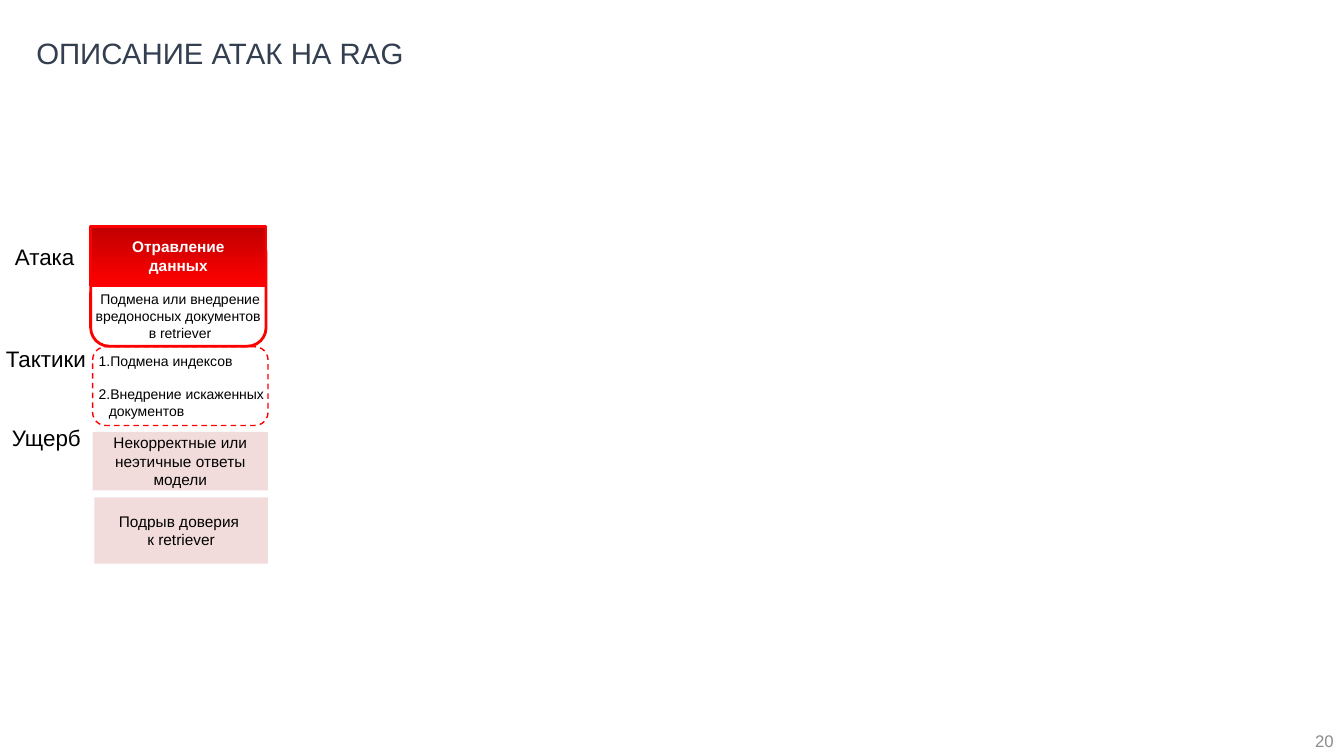
from dataclasses import dataclass

from lxml import etree
from pptx import Presentation
from pptx.dml.color import RGBColor as RGB
from pptx.enum.dml import MSO_LINE as Dash
from pptx.enum.shapes import MSO_SHAPE as Shape
from pptx.enum.text import MSO_ANCHOR as Anchor, MSO_AUTO_SIZE as AutoSize, PP_ALIGN as Align
from pptx.oxml.ns import qn
from pptx.util import Pt


@dataclass(frozen=True)
class Theme:
    font: str = "Arial"
    title: RGB = RGB(0x33, 0x3F, 0x50)
    text: RGB = RGB(0, 0, 0)
    white: RGB = RGB(255, 255, 255)
    number: RGB = RGB(0x8C, 0x8C, 0x8C)
    red: RGB = RGB(255, 0, 0)
    dark_red: RGB = RGB(0xC0, 0, 0)
    pink: RGB = RGB(0xF2, 0xDC, 0xDB)
    title_size: int = 21
    label_size: int = 16
    number_size: int = 12
    box_size: int = 11
    small_size: int = 10


T = Theme()


def move(sp, left, top, width, height):
    sp.left, sp.top, sp.width, sp.height = Pt(left), Pt(top), Pt(width), Pt(height)


def write(sp, lines, size, color=T.text, align=Align.LEFT, anchor=Anchor.TOP,
          bold=False, wrap=True):
    """Fill a shape with one paragraph per line and return the paragraphs."""
    tf = sp.text_frame
    tf.text = "\n".join(lines)
    tf.word_wrap = wrap
    tf.auto_size = AutoSize.NONE
    tf.vertical_anchor = anchor
    for p in tf.paragraphs:
        p.alignment = align
        p.space_before = Pt(0)
        p.font.name, p.font.size, p.font.bold = T.font, Pt(size), bold
        p.font.color.rgb = color
    return tf.paragraphs


def add_text(s, box, text, size, **style):
    sp = s.shapes.add_textbox(*map(Pt, box))
    write(sp, [text], size, **style)


def add_box(s, kind, box, fill=None, line=None, weight=2):
    sp = s.shapes.add_shape(kind, *map(Pt, box))
    sp.shadow.inherit = False
    if fill is None:
        sp.fill.background()
    else:
        sp.fill.solid()
        sp.fill.fore_color.rgb = fill
    if line is None:
        sp.line.fill.background()
    else:
        sp.line.color.rgb = line
        sp.line.width = Pt(weight)
    return sp


def title(s, text, box):
    move(s.shapes.title, *box)
    p, = write(s.shapes.title, [text], T.title_size, T.title, anchor=Anchor.MIDDLE)
    p.line_spacing = 0.9


def attack(s, name, description, left, top, width, height):
    head_height = 42.5
    add_box(s, Shape.ROUNDED_RECTANGLE, (left, top + 6, width, height - 6), line=T.red)
    head = add_box(s, Shape.RECTANGLE, (left, top, width, head_height), T.red, T.red)
    head.fill.gradient()
    head.fill.gradient_angle = 270
    for stop, color, position in zip(head.fill.gradient_stops, (T.dark_red, T.red), (0, 1)):
        stop.color.rgb = color
        stop.position = position
    write(head, [name], T.box_size, T.white, Align.CENTER, Anchor.MIDDLE, bold=True)
    add_text(s, (left - 6.2, top + head_height, width + 14.7, 44), description,
             T.small_size, align=Align.CENTER)


def tactics(s, items, left, top, width, height):
    body = s.placeholders[1]
    move(body, left - 2.9, top + 0.5, width + 11.5, height)
    paragraphs = write(body, items, T.small_size)
    for p in paragraphs:
        pPr = p._p.get_or_add_pPr()
        pPr.set("marL", str(Pt(7.2)))
        pPr.set("indent", str(-Pt(7.2)))
        number = etree.Element(qn("a:buAutoNum"), type="arabicPeriod")
        pPr.insert_element_before(number, "a:tabLst", "a:defRPr", "a:extLst")
    for p in paragraphs[1:]:
        p.space_before = Pt(11.5)
    frame = add_box(s, Shape.ROUNDED_RECTANGLE, (left, top, width, height),
                    line=T.red, weight=1)
    frame.line.dash_style = Dash.DASH


def damage(s, text, *box):
    sp = add_box(s, Shape.RECTANGLE, box, T.pink)
    write(sp, [text], T.box_size, align=Align.CENTER, anchor=Anchor.MIDDLE)


def row_labels(s, rows):
    for text, left, top, width in rows:
        add_text(s, (left, top, width, 26.6), text, T.label_size, wrap=False)


def attack_slide(prs):
    s = prs.slides.add_slide(prs.slide_layouts[1])
    title(s, "ОПИСАНИЕ АТАК НА RAG", (18.7, 0, 723.6, 78.5))
    row_labels(s, [("Атака", 3.6, 170, 57.6),
                   ("Тактики", -2.9, 243, 72.7),
                   ("Ущерб", 1.4, 299.5, 64)])
    attack(s, "Отравление данных",
           "Подмена или внедрение вредоносных документов \vв retriever",
           64.8, 161.6, 125.3, 85.7)
    tactics(s, ["Подмена индексов", "Внедрение искаженных документов"],
            66.2, 247.7, 125.3, 56.2)
    damage(s, "Некорректные или неэтичные ответы модели", 66.2, 308.5, 125.3, 41.8)
    damage(s, "Подрыв доверия \vк retriever", 67.5, 355.2, 123.8, 47.5)
    add_text(s, (743.8, 514.8, 216, 28.8), "20", T.number_size, color=T.number,
             align=Align.RIGHT, anchor=Anchor.MIDDLE)


def main():
    prs = Presentation()
    prs.slide_width, prs.slide_height = Pt(960), Pt(540)
    attack_slide(prs)
    prs.save("out.pptx")


if __name__ == "__main__":
    main()
